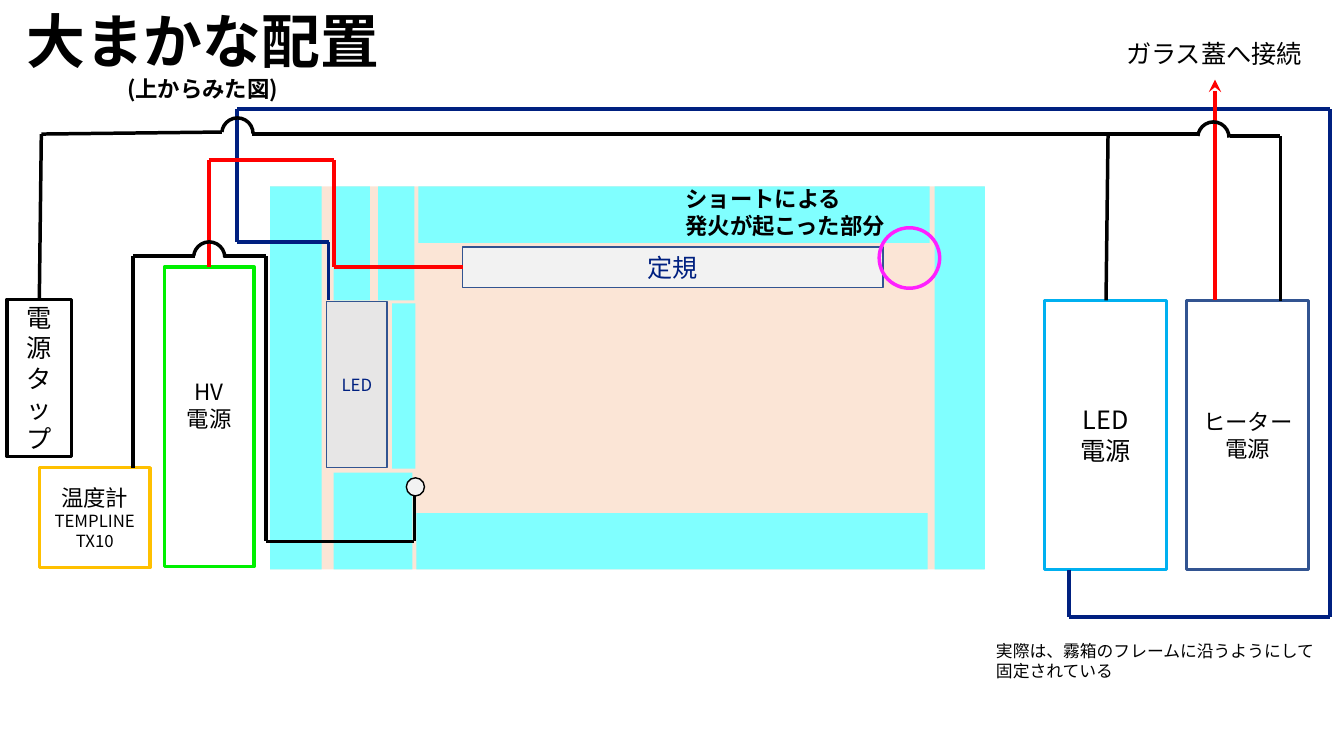
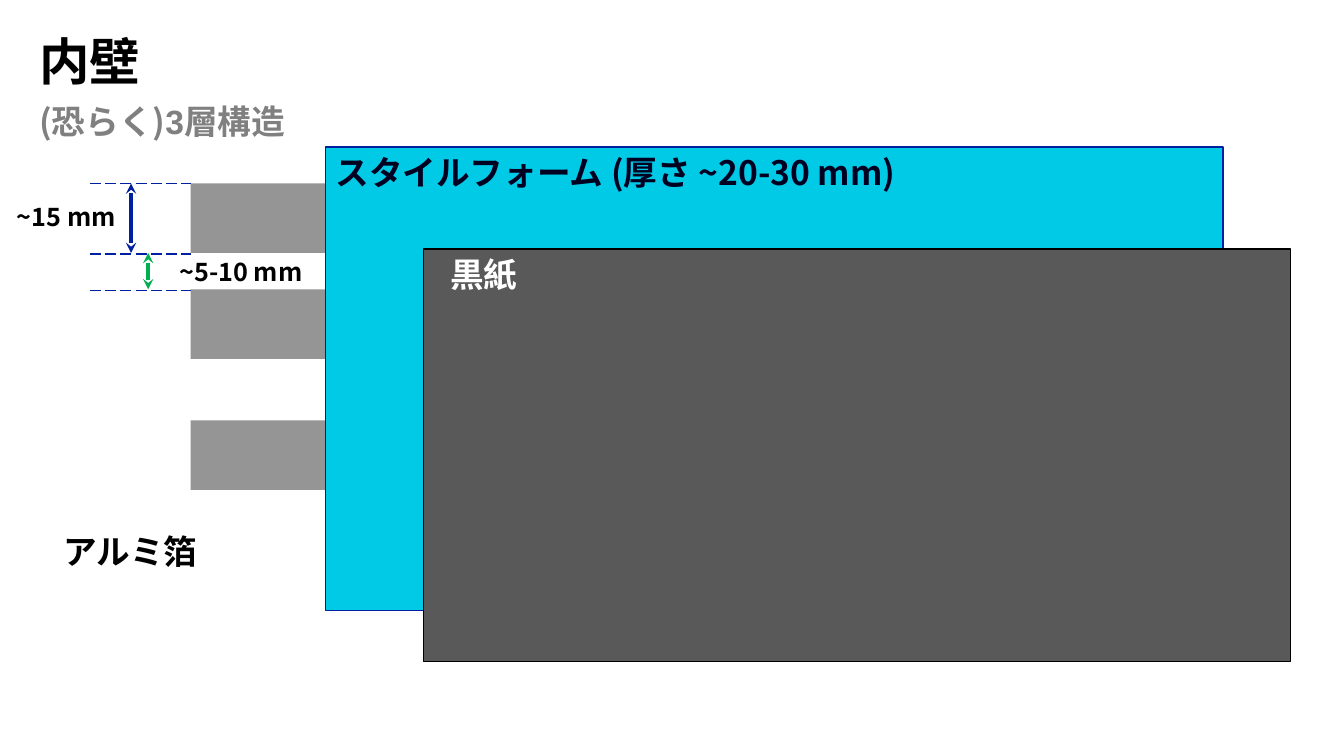
from itertools import pairwise

from lxml import etree
from pptx import Presentation
from pptx.dml.color import RGBColor
from pptx.enum.dml import MSO_LINE
from pptx.enum.shapes import MSO_CONNECTOR, MSO_SHAPE
from pptx.enum.text import MSO_ANCHOR as ANCHOR, PP_ALIGN as ALIGN
from pptx.oxml.ns import qn
from pptx.util import Inches, Pt

FONT = "Noto Sans CJK JP"
COLORS = {
    "black": "000000", "white": "FFFFFF", "gray": "808080", "red": "FF0000",
    "navy": "002080", "slate": "325491", "sky": "00B0F0", "lime": "00F000",
    "amber": "FFC000", "magenta": "FF20FF", "green": "00B050", "blue": "0020A0",
    "floor": "FBE5D6", "wall": "80FFFF", "lamp": "E7E6E6", "pale": "F2F2F2",
    "foil": "959595", "foam": "00CAE6", "paper": "595959", "ink": "000020",
}


def rgb(name):
    return RGBColor.from_string(COLORS[name])


def put_text(tf, paragraphs, size=18, color="black", bold=False,
             align=ALIGN.LEFT, anchor=ANCHOR.TOP, bottom=0.05):
    """Each paragraph is a list of runs: (text, {size, font})."""
    tf.word_wrap = True
    tf.vertical_anchor = anchor
    tf.margin_left = tf.margin_right = Inches(0.1)
    tf.margin_top, tf.margin_bottom = Inches(0.05), Inches(bottom)
    for i, runs in enumerate(paragraphs):
        p = tf.add_paragraph() if i else tf.paragraphs[0]
        p.alignment = align
        for text, own in runs:
            r = p.add_run()
            r.text = text
            r.font.size = Pt(own.get("size", size))
            r.font.bold = bold
            r.font.color.rgb = rgb(color)
            r.font.name = own.get("font", FONT)
            ea = etree.SubElement(r.font._element, qn("a:ea"))
            ea.set("typeface", FONT)


def lines(*texts, **own):
    return [[(text, own)] for text in texts]


class Deck:
    def __init__(self):
        self.prs = Presentation()
        self.prs.slide_width, self.prs.slide_height = Inches(13.33), Inches(7.5)

    def slide(self, x, y, w, h, paragraphs, **fmt):
        self.s = self.prs.slides.add_slide(self.prs.slide_layouts[5])
        sp = self.s.shapes.title
        sp.left, sp.top, sp.width, sp.height = map(Inches, (x, y, w, h))
        put_text(sp.text_frame, paragraphs, bold=True, **fmt)

    def text(self, x, y, w, h, paragraphs, **fmt):
        sp = self.s.shapes.add_textbox(*map(Inches, (x, y, w, h)))
        put_text(sp.text_frame, paragraphs, **fmt)

    def shape(self, x, y, w, h, fill=None, line=None, width=2.5,
              kind=MSO_SHAPE.RECTANGLE):
        sp = self.s.shapes.add_shape(kind, *map(Inches, (x, y, w, h)))
        sp.shadow.inherit = False
        if fill:
            sp.fill.solid()
            sp.fill.fore_color.rgb = rgb(fill)
        else:
            sp.fill.background()
        if line:
            sp.line.color.rgb = rgb(line)
            sp.line.width = Pt(width)
        else:
            sp.line.fill.background()
        return sp

    def box(self, x, y, w, h, paragraphs, fill=None, line=None, width=2.5, **fmt):
        sp = self.shape(x, y, w, h, fill, line, width)
        put_text(sp.text_frame, paragraphs, align=ALIGN.CENTER,
                 anchor=ANCHOR.MIDDLE, **fmt)

    def hop(self, x, y):
        """Half circle where one wire jumps over another."""
        sp = self.shape(x, y, 0.31, 0.31, line="black", kind=MSO_SHAPE.ARC)
        sp.adjustments[0], sp.adjustments[1] = 111.56, 0

    def wire(self, color, *points, width=2.5, dash=None, arrows=()):
        """Straight segments through the points; arrows are headEnd, tailEnd."""
        for start, end in pairwise(points):
            cx = self.s.shapes.add_connector(
                MSO_CONNECTOR.STRAIGHT, *map(Inches, start + end))
            cx.line.color.rgb = rgb(color)
            cx.line.width = Pt(width)
            if dash:
                cx.line.dash_style = dash
            for name in arrows:
                tip = etree.SubElement(cx.line._get_or_add_ln(), qn(f"a:{name}"))
                tip.set("type", "stealth")
            etree.SubElement(cx._element.spPr, qn("a:effectLst"))


def layout_slide(deck):
    deck.slide(0, 0, 4.02, 1.08,
               lines("大まかな配置", size=42) + lines("(上からみた図)", size=16),
               align=ALIGN.CENTER)

    # Chamber floor and walls
    deck.shape(2.68, 1.85, 7.08, 3.8, "floor")
    for wall in ((2.68, 1.85, 0.51, 3.8), (9.27, 1.85, 0.5, 3.8),
                 (3.31, 1.85, 0.36, 1.13), (3.75, 1.85, 0.36, 1.13),
                 (3.31, 4.69, 0.78, 0.96), (3.89, 3.01, 0.23, 1.64),
                 (4.15, 1.85, 5.07, 0.56), (4.13, 5.09, 5.07, 0.56)):
        deck.shape(*wall, "wall")

    # Devices
    deck.box(3.24, 2.99, 0.6, 1.65, lines("LED"), "lamp", "slate", 1,
             size=12, color="navy")
    deck.box(4.59, 2.45, 4.17, 0.4, lines("定規"), "pale", "slate", 1,
             color="navy")
    deck.box(10.36, 2.98, 1.21, 2.67, lines("LED", "電源"), line="sky")
    deck.box(11.77, 2.98, 1.21, 2.67, lines("ヒーター", "電源"), line="slate",
             size=16)
    deck.box(1.63, 2.65, 0.89, 2.97, lines("HV", "電源"), line="lime",
             size=16, bottom=0.29)
    deck.box(0.39, 4.64, 1.1, 0.99,
             lines("温度計", size=16) + lines("TEMPLINE", "TX10", size=12),
             line="amber")
    deck.box(0.07, 2.97, 0.64, 1.56, lines("電源タップ"), line="black")

    # LED supply wire
    deck.wire("navy", (10.6, 5.65), (10.6, 6.12), (13.19, 6.12), width=3)
    deck.wire("navy", (13.19, 6.12), (13.19, 1.08), (2.35, 1.08), (2.35, 2.4),
              (3.26, 2.4), (3.26, 2.98))

    # High-voltage and heater wires
    deck.wire("red", (2.07, 2.65), (2.07, 1.59), (3.31, 1.59), (3.31, 2.65),
              (4.59, 2.65), width=3)
    deck.wire("red", (12.05, 0.79), (12.05, 2.98), width=3, arrows=["headEnd"])

    # Thermometer wire and probe
    deck.wire("black", (1.32, 4.64), (1.32, 2.54), (1.93, 2.54))
    deck.wire("black", (2.22, 2.54), (2.64, 2.54), (2.64, 5.37), (4.11, 5.37),
              (4.11, 4.85))
    deck.shape(4.03, 4.74, 0.18, 0.18, "pale", "black", 1, MSO_SHAPE.OVAL)

    # Mains wires
    deck.wire("black", (0.39, 2.98), (0.41, 1.33), (2.2, 1.31))
    deck.wire("black", (2.5, 1.33), (11.89, 1.33))
    deck.wire("black", (10.99, 1.33), (10.97, 2.98))
    deck.wire("black", (12.2, 1.35), (12.7, 1.35), (12.7, 2.99))
    for x, y in ((1.92, 2.4), (2.2, 1.17), (11.88, 1.21)):
        deck.hop(x, y)

    # Notes
    deck.shape(8.72, 2.26, 0.6, 0.6, line="magenta", kind=MSO_SHAPE.OVAL)
    deck.text(6.7, 1.79, 2.54, 0.64, lines("ショートによる", "発火が起こった部分"),
              size=16, bold=True)
    deck.text(11.07, 0.33, 1.96, 0.4, lines("ガラス蓋へ接続"))
    deck.text(9.78, 6.31, 3.41, 0.5,
              lines("実際は、霧箱のフレームに沿うようにして固定されている"), size=12)


def wall_slide(deck):
    deck.slide(0.29, 0.24, 1.42, 0.71, lines("内壁"), size=36,
               anchor=ANCHOR.MIDDLE)
    deck.text(0.29, 0.95, 3.01, 0.5,
              [[("(恐らく)", {}), ("3", {"font": "Arial"}), ("層構造", {})]],
              size=24, color="gray", bold=True)

    # Three layers: foil strips, foam, paper
    for y in (1.82, 2.87, 4.17):
        deck.shape(1.89, y, 6.19, 0.69, "foil")
    deck.shape(3.23, 1.46, 8.9, 4.6, "foam", "blue", 1)
    deck.shape(4.2, 2.47, 8.6, 4.09, "paper", "black", 1)

    # Layer names
    for x, y, w, name, color, align in (
            (3.23, 1.46, 8.9, "スタイルフォーム (厚さ ~20-30 mm)", "ink", ALIGN.LEFT),
            (4.2, 2.47, 1.2, "黒紙", "white", ALIGN.CENTER),
            (0.53, 5.22, 1.83, "アルミ箔", "black", ALIGN.LEFT)):
        deck.text(x, y, w, 0.5, lines(name), size=24, color=color, bold=True,
                  align=align)

    # Dimensions
    for y in (1.82, 2.52, 2.88):
        deck.wire("blue", (0.89, y), (1.89, y), width=1, dash=MSO_LINE.LONG_DASH)
    for color, x, top, bottom in (("blue", 1.3, 1.82, 2.51),
                                  ("green", 1.47, 2.51, 2.87)):
        deck.wire(color, (x, top), (x, bottom), arrows=["headEnd", "tailEnd"])
    deck.text(0.07, 1.95, 1.31, 0.4, lines("~15 mm"), bold=True)
    deck.text(1.68, 2.49, 1.49, 0.4, lines("~5-10 mm"), bold=True)


def main():
    deck = Deck()
    layout_slide(deck)
    wall_slide(deck)
    deck.prs.save("out.pptx")


if __name__ == "__main__":
    main()
